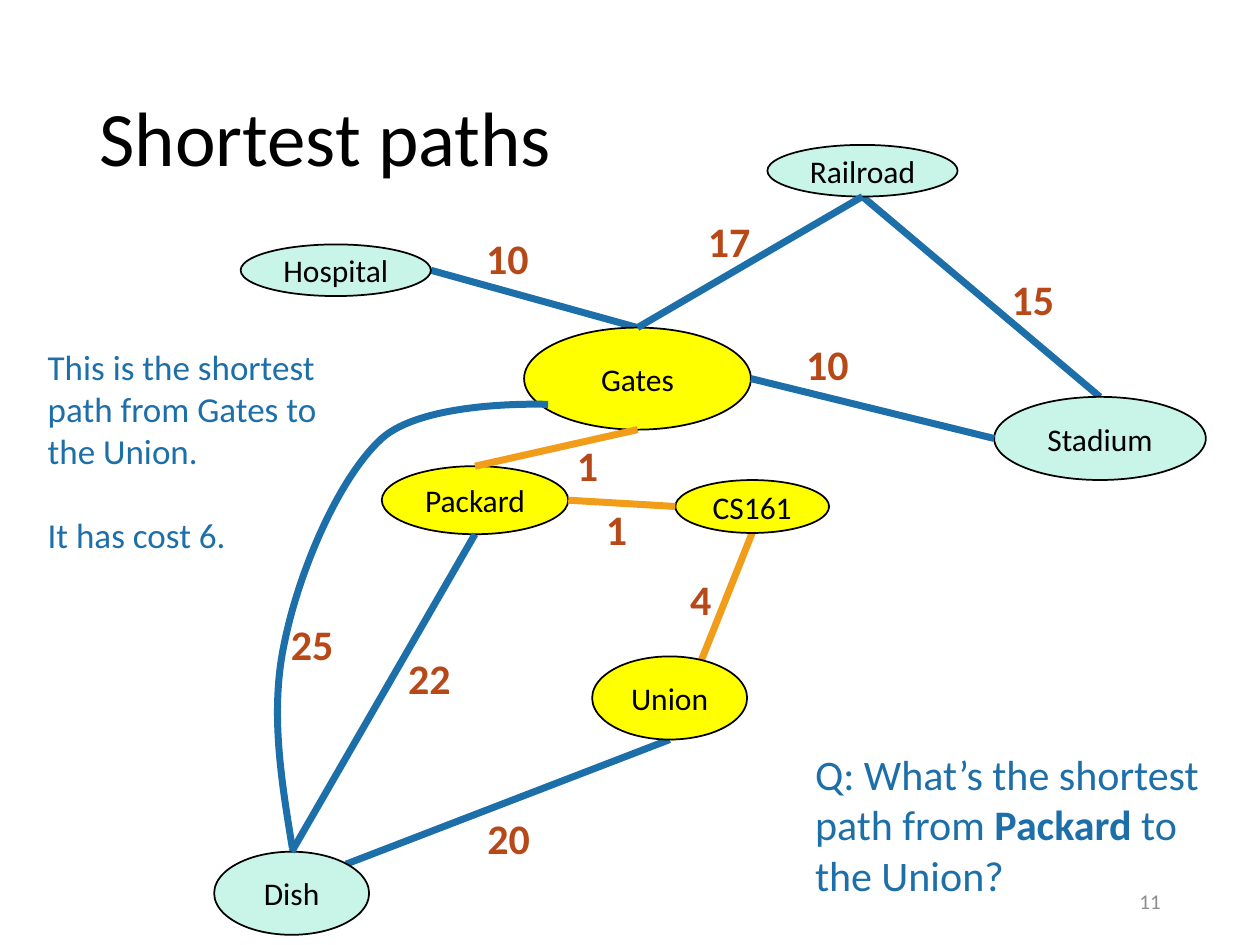
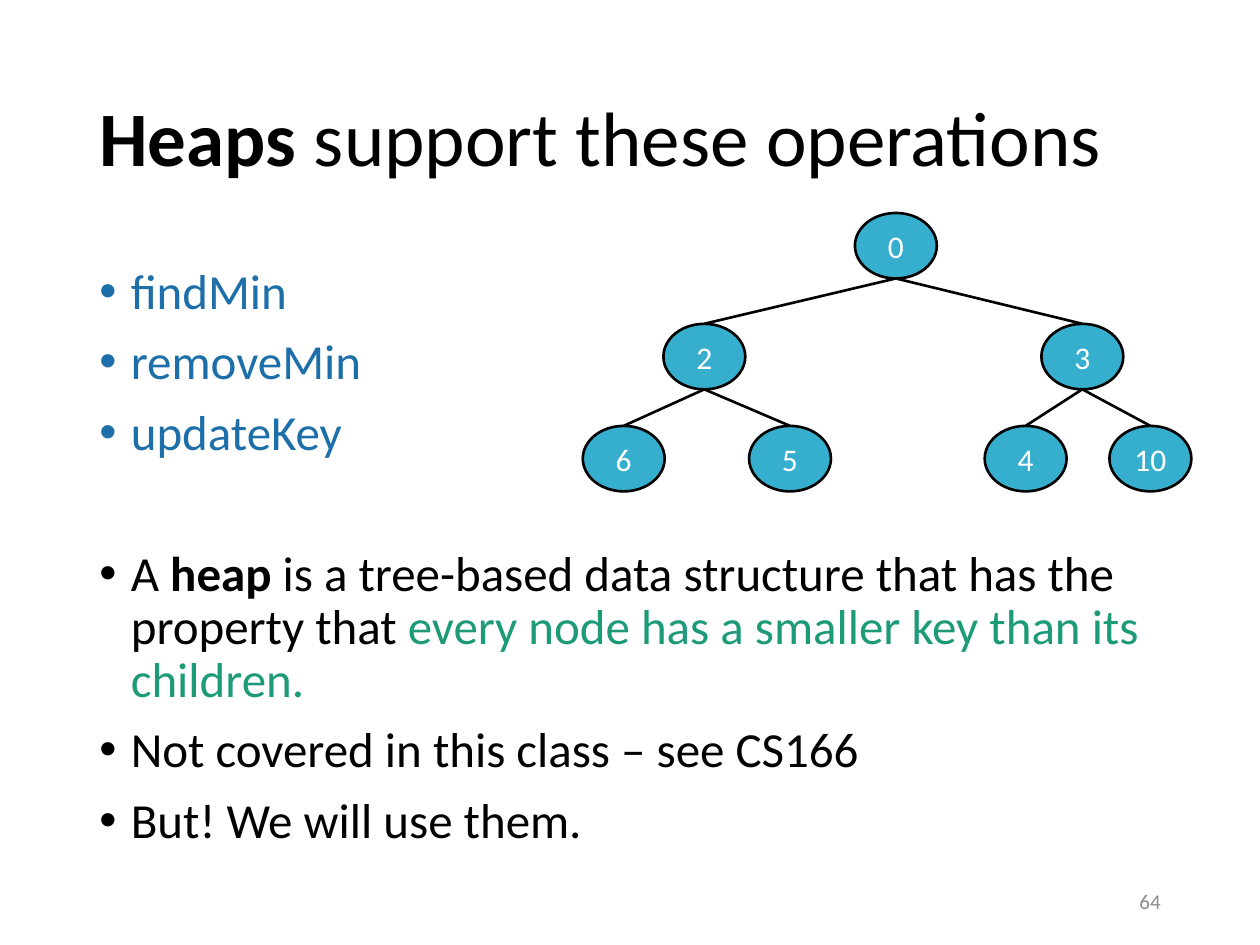
from collections import namedtuple
from lxml.etree import SubElement
from pptx import Presentation
from pptx.dml.color import RGBColor
from pptx.enum.shapes import MSO_CONNECTOR, MSO_SHAPE
from pptx.enum.text import MSO_ANCHOR, PP_ALIGN
from pptx.oxml.ns import qn
from pptx.util import Inches, Pt

COLORS = {
    "black": "000000", "white": "FFFFFF", "grey": "8C8C8C", "blue": "1D6FA9",
    "orange": "F19D19", "rust": "B74919", "green": "1D9A78",
    "yellow": "FFFF00", "mint": "C8F5E8", "teal": "36AFCE",
}
FONT = "Calibri"
WIDTH, HEIGHT = Inches(10), Inches(7.5)
COL, ROW = WIDTH / 100, HEIGHT / 75
SIDES = {
    "top": (0.5, 0), "bottom": (0.5, 1), "left": (0, 0.5),
    "right": (1, 0.5), "top right": (0.85, 0.15),
}


class Box(namedtuple("Box", "x y w h")):
    def inner(self, x, y, w, h):
        return Box(self.x + x, self.y + y, w, h)

    def side(self, name):
        across, down = SIDES[name]
        return self.x + across * self.w, self.y + down * self.h

    def emu(self):
        return (round(self.x * COL), round(self.y * ROW),
                round(self.w * COL), round(self.h * ROW))


TITLE = Box(6.9, 4, 86.2, 14.5)
NUMBER = Box(70.6, 69.5, 22.5, 4)
BODY = Box(6.9, 20.7, 86.2, 47.6)
GRAPH = Box(17, 11, 79, 64)
HEAP = Box(46, 16.9, 49, 22.1)
ANSWER = Box(2.8, 26.9, 26.9, 17.8)
QUESTION = Box(63.7, 58.9, 33.1, 13.5)


def rgb(name):
    return RGBColor.from_string(COLORS[name])


def add_run(p, text, size, color="black", bold=False):
    r = p.add_run()
    r.text = text
    r.font.name = FONT
    r.font.size = Pt(size)
    r.font.bold = bold
    r.font.color.rgb = rgb(color)


def add_text(s, box, runs, size, color="black", anchor=MSO_ANCHOR.TOP, align=PP_ALIGN.LEFT):
    tf = s.shapes.add_textbox(*box.emu()).text_frame
    tf.word_wrap = True
    tf.vertical_anchor = anchor
    p = tf.paragraphs[0]
    p.alignment = align
    for text, bold in runs:
        add_run(p, text, size, color, bold)
    return tf


def add_node(s, box, label, fill, text_color="black", line=1):
    sp = s.shapes.add_shape(MSO_SHAPE.OVAL, *box.emu())
    sp.shadow.inherit = False
    sp.fill.solid()
    sp.fill.fore_color.rgb = rgb(fill)
    sp.line.color.rgb = rgb("black")
    sp.line.width = Pt(line)
    tf = sp.text_frame
    tf.margin_left = tf.margin_right = 0
    tf.vertical_anchor = MSO_ANCHOR.MIDDLE
    tf.paragraphs[0].alignment = PP_ALIGN.CENTER
    add_run(tf.paragraphs[0], label, 18, text_color)


def add_edge(s, start, end, color, width):
    (x1, y1), (x2, y2) = start, end
    edge = s.shapes.add_connector(
        MSO_CONNECTOR.STRAIGHT, round(x1 * COL), round(y1 * ROW),
        round(x2 * COL), round(y2 * ROW))
    edge.line.color.rgb = rgb(color)
    edge.line.width = Pt(width)
    SubElement(edge._element.spPr, qn("a:effectLst"))


def add_curve(s, points, color, width):
    start, *rest = [(round(x * COL), round(y * ROW)) for x, y in points]
    builder = s.shapes.build_freeform(*start)
    builder.add_line_segments(rest, close=False)
    sp = builder.convert_to_shape()
    sp.shadow.inherit = False
    sp.fill.background()
    sp.line.color.rgb = rgb(color)
    sp.line.width = Pt(width)
    segments = list(sp._element.iter(qn("a:lnTo")))
    path = segments[0].getparent()
    for i in range(0, len(segments), 3):
        bezier = SubElement(path, qn("a:cubicBezTo"))
        for segment in segments[i:i + 3]:
            bezier.append(segment[0])
            path.remove(segment)


def add_frame(prs, title_runs, number):
    s = prs.slides.add_slide(prs.slide_layouts[6])
    tf = add_text(s, TITLE, title_runs, 44, anchor=MSO_ANCHOR.MIDDLE)
    tf.paragraphs[0].line_spacing = 0.9
    add_text(s, NUMBER, [(number, False)], 12, "grey", MSO_ANCHOR.MIDDLE, PP_ALIGN.RIGHT)
    return s


def add_campus_graph(s, box):
    places = {
        "CS161": ((36.6, 27.1, 12.2, 4.2), "yellow"),
        "Gates": ((24.6, 15, 18, 8.1), "yellow"),
        "Union": ((30, 41.1, 12.3, 6.6), "yellow"),
        "Dish": ((0, 56.6, 12.3, 6.6), "mint"),
        "Stadium": ((61.9, 20.5, 16.8, 6.6), "mint"),
        "Hospital": ((2.1, 8.4, 15.1, 4.1), "mint"),
        "Railroad": ((43.9, 0.5, 15.1, 4.1), "mint"),
        "Packard": ((13.3, 26, 14.8, 5.4), "yellow"),
    }
    edges_behind = [
        ("CS161", "bottom", "Union", "bottom", "orange"),
        ("Gates", "top", "Hospital", "right", "blue"),
        ("Stadium", "top", "Railroad", "bottom", "blue"),
        ("Union", "bottom", "Dish", "top right", "blue"),
    ]
    edges_in_front = [
        ("Gates", "bottom", "Packard", "top", "orange"),
        ("CS161", "left", "Packard", "right", "orange"),
        ("Gates", "right", "Stadium", "left", "blue"),
        ("Railroad", "bottom", "Gates", "top", "blue"),
        ("Packard", "bottom", "Dish", "top", "blue"),
    ]
    dish_to_gates = [
        (6.2, 56.3), (5.3, 50.8), (4.4, 45.3), (5.6, 39.9), (6.7, 34.5),
        (9.8, 27), (13.3, 23.8), (16.8, 20.7), (26.5, 21.1), (26.5, 21.1),
    ]
    costs = [
        ("1", 27.8, 23.4), ("1", 30.1, 28.5), ("4", 36.8, 34), ("25", 5.1, 37.6),
        ("20", 20.7, 53), ("10", 46, 15.4), ("10", 20.6, 7), ("17", 38.2, 5.6),
        ("15", 62.3, 10.2), ("22", 14.4, 40.3),
    ]
    boxes = {name: box.inner(*place) for name, (place, _) in places.items()}

    def join(edges):
        for a, a_side, b, b_side, color in edges:
            add_edge(s, boxes[a].side(a_side), boxes[b].side(b_side), color, 4)

    join(edges_behind)
    for name, (_, fill) in places.items():
        add_node(s, boxes[name], name, fill)
    join(edges_in_front)
    add_curve(s, [(box.x + x, box.y + y) for x, y in dish_to_gates], "blue", 4)
    for cost, x, y in costs:
        add_text(s, box.inner(x, y, 6.3, 5), [(cost, True)], 24, "rust")


def add_answer(s, box):
    path = "This is the shortest path from Gates to the Union."
    tf = add_text(s, box, [(path, False)], 20, "blue")
    p = tf.add_paragraph()
    p.space_before = Pt(24.4)
    add_run(p, "It has cost 6.", 20, "blue")


def add_heap_tree(s, box):
    keys = ["0", "2", "3", "6", "5", "4", "10"]
    centers = [25.1, 9.9, 39.9, 3.5, 16.7, 35.4, 45.3]
    level_tops = [0, 8.8, 16.9]
    w, h = 6.5, 5.2
    boxes = [box.inner(center - w / 2, level_tops[(i + 1).bit_length() - 1], w, h)
             for i, center in enumerate(centers)]
    for key, node in zip(keys, boxes):
        add_node(s, node, key, "teal", "white", 1.5)
    for i, child in enumerate(boxes[1:], 1):
        parent = boxes[(i - 1) // 2]
        add_edge(s, child.side("top"), parent.side("bottom"), "black", 1.5)


def add_bullets(s, box):
    bullets = [[(name, "blue", False)] for name in ("findMin", "removeMin", "updateKey")]
    bullets += [
        [("A ", "black", False), ("heap ", "black", True),
         ("is a tree-based data structure that has the property that ", "black", False),
         ("every node has a smaller key than its children.", "green", False)],
        [("Not covered in this class – see CS166", "black", False)],
        [("But! We will use them.", "black", False)],
    ]
    gaps = [0, 10, 10, 50.5, 10, 10]
    tf = s.shapes.add_textbox(*box.emu()).text_frame
    tf.word_wrap = True
    for i, (runs, gap) in enumerate(zip(bullets, gaps)):
        p = tf.add_paragraph() if i else tf.paragraphs[0]
        pPr = p._p.get_or_add_pPr()
        pPr.set("marL", str(Inches(0.25)))
        pPr.set("indent", str(-Inches(0.25)))
        SubElement(pPr, qn("a:buFont"), typeface="Arial")
        SubElement(pPr, qn("a:buChar"), char="•")
        p.line_spacing = 0.9
        p.space_before = Pt(gap)
        for text, color, bold in runs:
            add_run(p, text, 28, color, bold)


def add_paths_slide(prs):
    s = add_frame(prs, [("Shortest paths", False)], "11")
    add_campus_graph(s, GRAPH)
    add_answer(s, ANSWER)
    question = [("Q: What’s the shortest path from ", False), ("Packard", True),
                (" to the Union?", False)]
    add_text(s, QUESTION, question, 24, "blue")


def add_heaps_slide(prs):
    s = add_frame(prs, [("Heaps", True), (" support these operations", False)], "64")
    add_bullets(s, BODY)
    add_heap_tree(s, HEAP)


def main():
    prs = Presentation()
    prs.slide_width, prs.slide_height = WIDTH, HEIGHT
    add_paths_slide(prs)
    add_heaps_slide(prs)
    prs.save("out.pptx")


if __name__ == "__main__":
    main()
